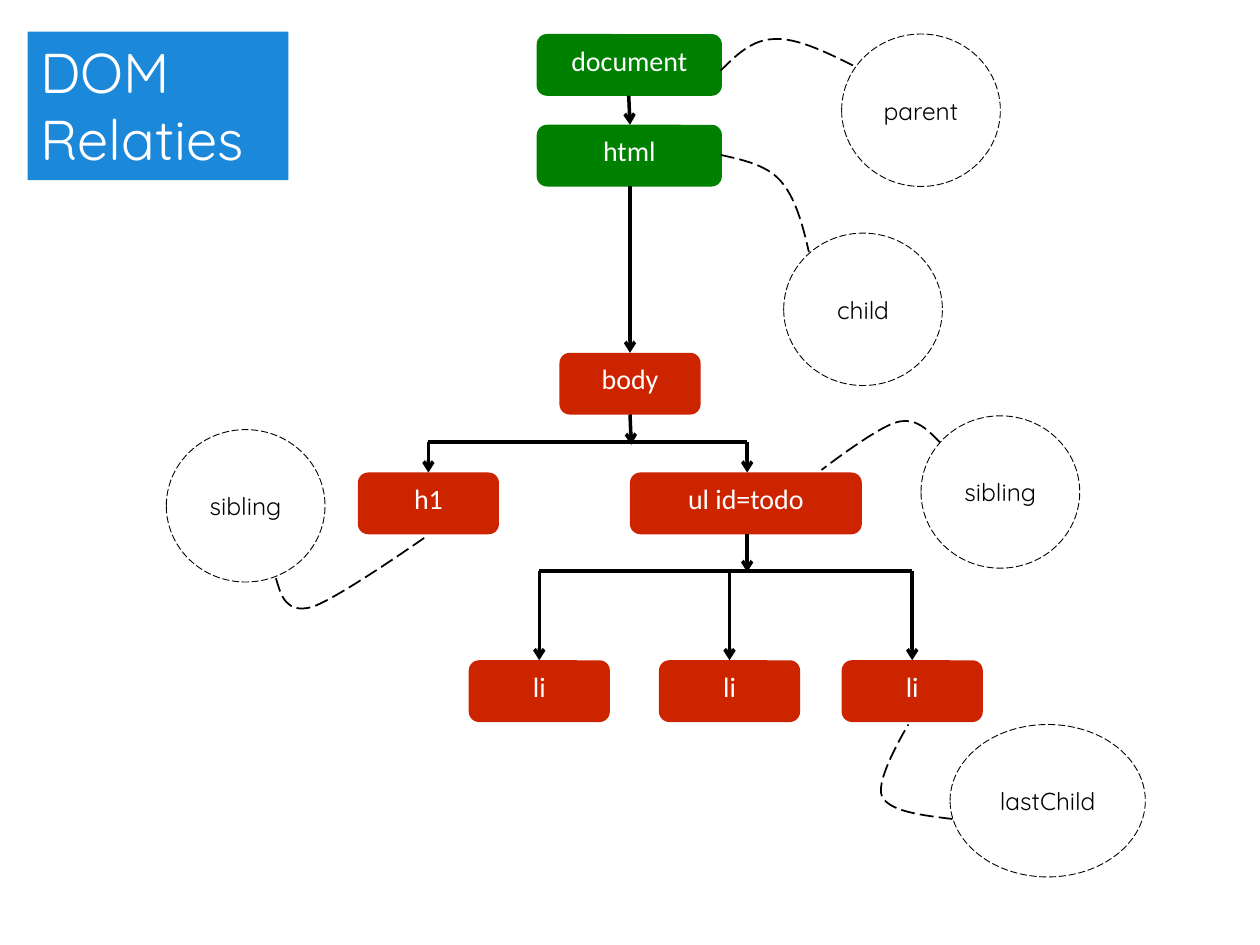
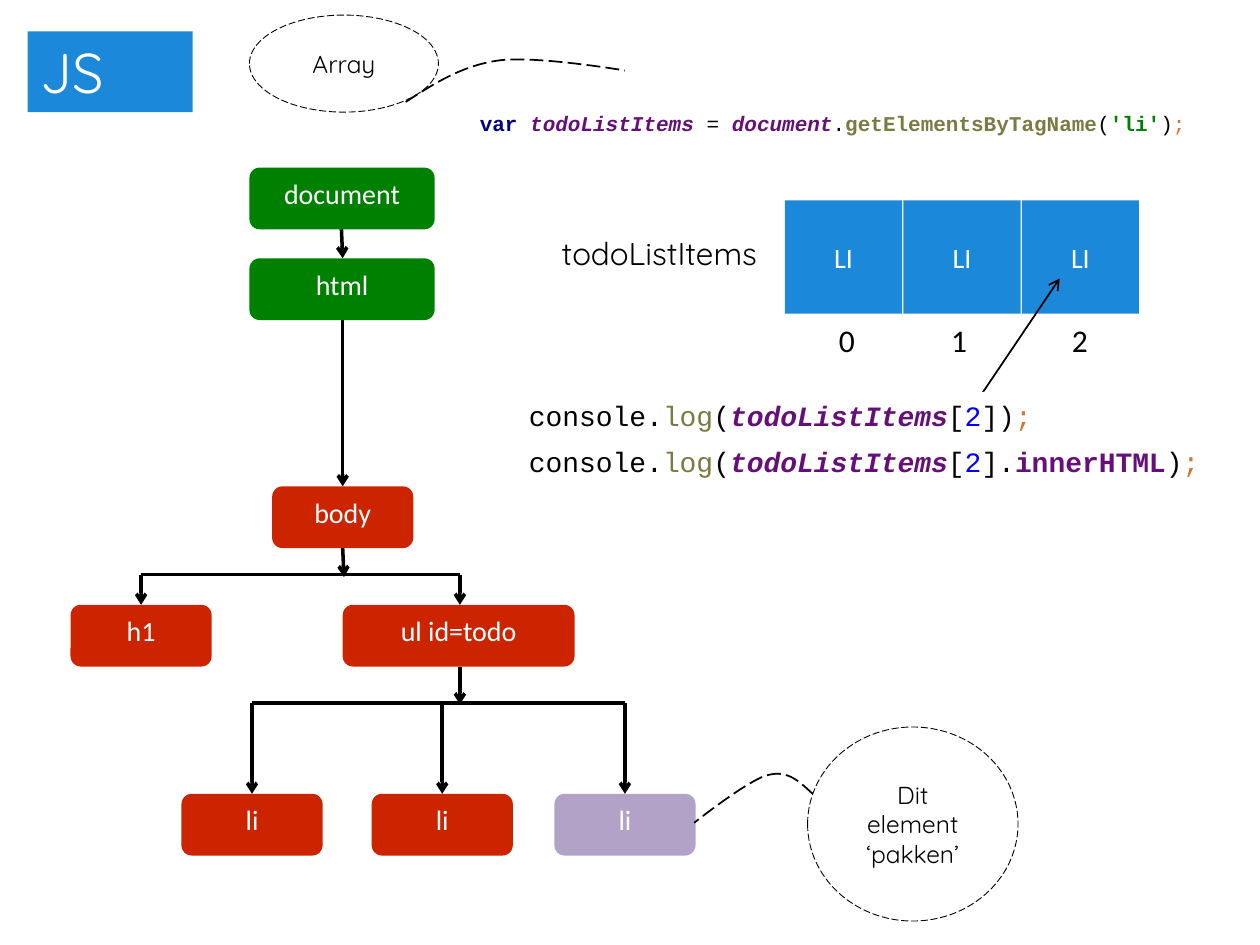
import dataclasses
import typing

import lxml.etree
import pptx
import pptx.dml.color
import pptx.dml.line
import pptx.enum.dml
import pptx.enum.shapes
import pptx.enum.text
import pptx.oxml.ns
import pptx.shapes.autoshape
import pptx.slide
import pptx.text.text
import pptx.util

Inches = pptx.util.Inches
Preset = pptx.enum.shapes.MSO_SHAPE
Align = pptx.enum.text.PP_ALIGN
Anchor = pptx.enum.text.MSO_ANCHOR
qn = pptx.oxml.ns.qn
Point = tuple[float, float]
Box = tuple[float, float, float, float]
Format = dict[str, typing.Any]


@dataclasses.dataclass(frozen=True)
class Theme:
    accent: str = "1C88DA"
    root: str = "008000"
    element: str = "CD2400"
    picked: str = "B3A2C7"
    ink: str = "000000"
    paper: str = "FFFFFF"
    display: str = "Quicksand"
    body: str = "Calibri"
    code: str = "Courier New"
    title_size: float = 32
    label_size: float = 18
    node_size: float = 16
    note_size: float = 14
    snippet_size: float = 12
    branch_width: float = 2
    link_width: float = 1
    note_width: float = 0.5


THEME = Theme()

TITLE = {"name": THEME.display, "size": THEME.title_size, "color": THEME.paper}
NODE = {"name": THEME.body, "size": THEME.node_size, "color": THEME.paper}
NOTE = {"name": THEME.display, "size": THEME.note_size, "color": THEME.ink}
LABEL = {"name": THEME.display, "size": THEME.label_size, "color": THEME.ink}
INDEX = {**LABEL, "name": THEME.body}

SYNTAX: dict[str, Format] = {
    "plain": {"color": THEME.ink},
    "keyword": {"color": "000080", "bold": True},
    "variable": {"color": "660E7A", "bold": True, "italic": True},
    "property": {"color": "660E7A", "bold": True},
    "call": {"color": "7A7A43"},
    "method": {"color": "7A7A43", "bold": True},
    "string": {"color": "008000", "bold": True},
    "number": {"color": "0000FF"},
    "end": {"color": "CC7832"},
}


class Run(typing.NamedTuple):
    text: str
    style: str = "plain"


class Node(typing.NamedTuple):
    text: str
    left: float
    top: float
    width: float
    fill: str = THEME.element


class Branch(typing.NamedTuple):
    start: Point
    end: Point
    arrow: bool = True


class Note(typing.NamedTuple):
    lines: list[str]
    box: Box
    curve: list[Point]


class Tree(typing.NamedTuple):
    left: float
    document: float
    html: float
    body: float
    fork: float
    siblings: float
    list_fork: float
    items: float
    last_fill: str


NODE_HEIGHT = 0.49
ROOT_WIDTH, ELEMENT_WIDTH, LIST_WIDTH = 1.47, 1.12, 1.84

RELATION_TREE = Tree(2.84, 0.27, 0.99, 2.8, 3.51, 3.75, 4.53, 5.24, THEME.element)
ARRAY_TREE = Tree(0.56, 1.33, 2.05, 3.86, 4.56, 4.8, 5.58, 6.3, THEME.picked)

RELATIONS = [
    Note(["parent"], (6.68, 0.27, 1.26, 1.21),
         [(5.72, 0.56), (5.84, 0.44), (5.97, 0.31), (6.15, 0.31),
          (6.32, 0.3), (6.55, 0.41), (6.77, 0.52)]),
    Note(["child"], (6.22, 1.85, 1.26, 1.21),
         [(5.72, 1.23), (5.9, 1.27), (6.08, 1.31), (6.19, 1.43),
          (6.31, 1.56), (6.37, 1.78), (6.42, 2)]),
    Note(["lastChild"], (7.54, 5.75, 1.55, 1.21),
         [(7.56, 6.5), (7.31, 6.47), (7.06, 6.44), (7, 6.32),
          (6.94, 6.19), (7.21, 5.75), (7.21, 5.75)]),
    Note(["sibling"], (1.32, 3.41, 1.26, 1.21),
         [(2.19, 4.59), (2.23, 4.73), (2.27, 4.87), (2.47, 4.82),
          (2.67, 4.76), (3.38, 4.26), (3.38, 4.26)]),
    Note(["sibling"], (7.31, 3.3, 1.26, 1.21),
         [(7.46, 3.51), (7.36, 3.41), (7.27, 3.31), (7.12, 3.35),
          (6.96, 3.39), (6.52, 3.73), (6.52, 3.73)]),
]

PICK_NOTE = Note(["Dit element", "‘pakken’"], (6.41, 5.77, 1.67, 1.54),
                 [(6.45, 6.3), (6.35, 6.21), (6.26, 6.11), (6.1, 6.15),
                  (5.95, 6.18), (5.51, 6.53), (5.51, 6.53)])
ARRAY_NOTE = Note(["Array"], (1.98, 0.12, 1.5, 0.77),
                  [(3.22, 0.81), (3.45, 0.66), (3.67, 0.52), (3.96, 0.48),
                   (4.25, 0.44), (4.96, 0.56), (4.96, 0.56)])

QUERY = [
    Run("var ", "keyword"), Run("todoListItems ", "variable"), Run("= "),
    Run("document", "variable"), Run("."), Run("getElementsByTagName", "method"),
    Run("("), Run("'li'", "string"), Run(")"), Run(";", "end"),
]
LOG_ITEM = [
    Run("console."), Run("log", "call"), Run("("), Run("todoListItems", "variable"),
    Run("["), Run("2", "number"),
]
LOG_ELEMENT = [*LOG_ITEM, Run("])"), Run(";", "end")]
LOG_CONTENT = [*LOG_ITEM, Run("]."), Run("innerHTML", "property"), Run(")"), Run(";", "end")]


def rgb(value: str) -> pptx.dml.color.RGBColor:
    return pptx.dml.color.RGBColor.from_string(value)


def format_font(font: pptx.text.text.Font, values: Format) -> None:
    for attribute, value in values.items():
        if attribute == "color":
            font.color.rgb = rgb(value)
        else:
            setattr(font, attribute, pptx.util.Pt(value) if attribute == "size" else value)


def format_line(line: pptx.dml.line.LineFormat, width: float, dashed: bool = False) -> None:
    line.color.rgb = rgb(THEME.ink)
    line.width = pptx.util.Pt(width)
    if dashed:
        line.dash_style = pptx.enum.dml.MSO_LINE.LONG_DASH


def write(frame: pptx.text.text.TextFrame, lines: list[str], values: Format,
          align: Align = Align.LEFT) -> None:
    for number, text in enumerate(lines):
        paragraph = frame.add_paragraph() if number else frame.paragraphs[0]
        paragraph.alignment = align
        run = paragraph.add_run()
        run.text = text
        format_font(run.font, values)


def add_panel(slide: pptx.slide.Slide, preset: Preset, box: Box, fill: str | None = None,
              anchor: Anchor = Anchor.MIDDLE, grow: bool = False) -> pptx.shapes.autoshape.Shape:
    panel = slide.shapes.add_shape(preset, *map(Inches, box))
    panel.shadow.inherit = False
    if fill:
        panel.fill.solid()
        panel.fill.fore_color.rgb = rgb(fill)
        panel.line.fill.background()
    else:
        panel.fill.background()
        format_line(panel.line, THEME.note_width, dashed=True)
    settings = {"word_wrap": True, "vertical_anchor": anchor}
    if grow:
        settings["auto_size"] = pptx.enum.text.MSO_AUTO_SIZE.SHAPE_TO_FIT_TEXT
    for attribute, value in settings.items():
        setattr(panel.text_frame, attribute, value)
    return panel


def add_title(slide: pptx.slide.Slide, lines: list[str], width: float, height: float) -> None:
    band = add_panel(slide, Preset.RECTANGLE, (0.22, 0.25, width, height), THEME.accent,
                     Anchor.TOP, grow=True)
    write(band.text_frame, lines, TITLE)


def add_node(slide: pptx.slide.Slide, node: Node) -> None:
    panel = add_panel(slide, Preset.ROUNDED_RECTANGLE,
                      (node.left, node.top, node.width, NODE_HEIGHT), node.fill, Anchor.TOP)
    write(panel.text_frame, [node.text], NODE, Align.CENTER)


def add_branch(slide: pptx.slide.Slide, branch: Branch, width: float) -> None:
    connector = slide.shapes.add_connector(
        pptx.enum.shapes.MSO_CONNECTOR.STRAIGHT, *map(Inches, branch.start + branch.end))
    format_line(connector.line, width)
    properties = connector._element.spPr
    if branch.arrow:
        lxml.etree.SubElement(properties.find(qn("a:ln")), qn("a:tailEnd"), type="arrow")
    lxml.etree.SubElement(properties, qn("a:effectLst"))


def add_tree(slide: pptx.slide.Slide, tree: Tree) -> None:
    root_left, trunk = tree.left + 1.42, tree.left + 2.16
    heading, todo = tree.left + 0.56, tree.left + 3.09
    first, second, last = (tree.left + offset for offset in (1.44, 2.95, 4.4))
    item_lefts = [tree.left + offset for offset in (0.88, 2.39, 3.84)]
    item_fills = [THEME.element, THEME.element, tree.last_fill]
    parts = [
        Node("document", root_left, tree.document, ROOT_WIDTH, THEME.root),
        Node("h1", tree.left, tree.siblings, ELEMENT_WIDTH),
        Node("ul id=todo", trunk, tree.siblings, LIST_WIDTH),
        *[Branch((x, tree.list_fork), (x, tree.items)) for x in (first, second)],
        Branch((heading, tree.fork), (todo, tree.fork), arrow=False),
        Node("body", tree.left + 1.6, tree.body, ELEMENT_WIDTH),
        Node("html", root_left, tree.html, ROOT_WIDTH, THEME.root),
        *[Node("li", left, tree.items, ELEMENT_WIDTH, fill)
          for left, fill in zip(item_lefts, item_fills)],
        Branch((trunk - 0.01, tree.document + NODE_HEIGHT), (trunk, tree.html)),
        Branch((trunk, tree.html + NODE_HEIGHT), (trunk, tree.body)),
        Branch((first, tree.list_fork), (last, tree.list_fork), arrow=False),
        Branch((todo, tree.siblings + NODE_HEIGHT), (todo, tree.list_fork + 0.01)),
        Branch((last, tree.list_fork), (last, tree.items)),
        *[Branch((x, tree.fork), (x, tree.siblings)) for x in (heading, todo)],
        Branch((trunk, tree.body + NODE_HEIGHT), (trunk + 0.01, tree.fork + 0.02)),
    ]
    for part in parts:
        if isinstance(part, Node):
            add_node(slide, part)
        else:
            add_branch(slide, part, THEME.branch_width)


def add_bubble(slide: pptx.slide.Slide, note: Note) -> None:
    bubble = add_panel(slide, Preset.OVAL, note.box)
    write(bubble.text_frame, note.lines, NOTE, Align.CENTER)


def add_curve(slide: pptx.slide.Slide, note: Note) -> None:
    points = [(Inches(x), Inches(y)) for x, y in note.curve]
    builder = slide.shapes.build_freeform(*points[0])
    builder.add_line_segments(points[3::3], close=False)
    curve = builder.convert_to_shape()
    curve.shadow.inherit = False
    curve.fill.background()
    format_line(curve.line, THEME.link_width, dashed=True)
    outline = next(curve._element.iter(qn("a:path")))
    for number, segment in enumerate(outline.findall(qn("a:lnTo"))):
        bend = lxml.etree.SubElement(outline, qn("a:cubicBezTo"))
        for x, y in points[3 * number + 1:3 * number + 4]:
            lxml.etree.SubElement(bend, qn("a:pt"), x=str(x - curve.left), y=str(y - curve.top))
        outline.replace(segment, bend)


def add_label(slide: pptx.slide.Slide, text: str, box: Box, values: Format) -> None:
    frame = slide.shapes.add_textbox(*map(Inches, box)).text_frame
    frame.word_wrap = False
    frame.auto_size = pptx.enum.text.MSO_AUTO_SIZE.SHAPE_TO_FIT_TEXT
    write(frame, [text], values)


def add_code(slide: pptx.slide.Slide, runs: list[Run], box: Box, size: float) -> None:
    panel = add_panel(slide, Preset.RECTANGLE, box, THEME.paper, grow=True)
    paragraph = panel.text_frame.paragraphs[0]
    paragraph.alignment = Align.LEFT
    for part in runs:
        run = paragraph.add_run()
        run.text = part.text
        format_font(run.font, {"name": THEME.code, "size": size, **SYNTAX[part.style]})


def build_relations(slide: pptx.slide.Slide) -> None:
    add_tree(slide, RELATION_TREE)
    add_title(slide, ["DOM", "Relaties"], 2.07, 1.18)
    for draw in (add_bubble, add_curve):
        for note in RELATIONS:
            draw(slide, note)


def build_array(slide: pptx.slide.Slide) -> None:
    add_tree(slide, ARRAY_TREE)
    add_bubble(slide, PICK_NOTE)
    add_curve(slide, PICK_NOTE)
    add_title(slide, ["JS"], 1.31, 0.64)
    add_bubble(slide, ARRAY_NOTE)
    add_curve(slide, ARRAY_NOTE)
    for index in range(3):
        cell = add_panel(slide, Preset.RECTANGLE, (6.23 + 0.94 * index, 1.59, 0.93, 0.9),
                         THEME.accent)
        write(cell.text_frame, ["LI"], NODE, Align.CENTER)
    add_label(slide, "todoListItems", (4.36, 1.81, 1.78, 0.4), LABEL)
    for index, left in {"1": 7.45, "2": 8.41, "0": 6.56}.items():
        add_label(slide, index, (left, 2.5, 0.33, 0.4), INDEX)
    add_branch(slide, Branch((7.56, 3.47), (8.41, 2.21)), THEME.link_width)
    add_code(slide, QUERY, (3.71, 0.83, 6.17, 0.3), THEME.snippet_size)
    add_code(slide, LOG_ELEMENT, (4.1, 3.11, 4.57, 0.37), THEME.node_size)
    add_code(slide, LOG_CONTENT, (4.1, 3.48, 5.6, 0.37), THEME.node_size)


deck = pptx.Presentation()
deck.slide_width, deck.slide_height = Inches(10), Inches(7.5)
for build in (build_relations, build_array):
    build(deck.slides.add_slide(deck.slide_layouts[6]))
deck.save("out.pptx")
